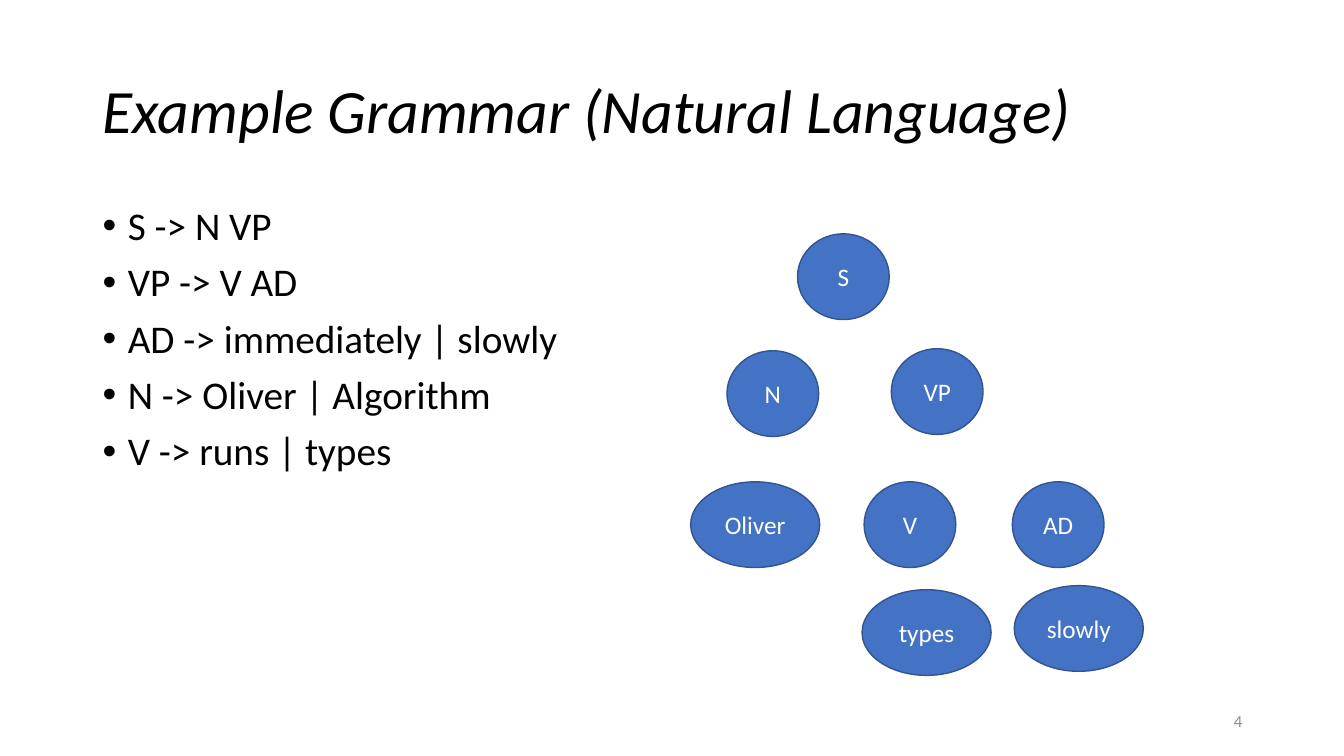
from lxml import etree
from pptx import Presentation
from pptx.dml.color import RGBColor
from pptx.enum import shapes, text
from pptx.oxml.ns import qn
from pptx.util import Inches, Pt

BLACK = RGBColor(0x00, 0x00, 0x00)
WHITE = RGBColor(0xFF, 0xFF, 0xFF)
GREY = RGBColor(0x8C, 0x8C, 0x8C)
BLUE = RGBColor(0x44, 0x72, 0xC4)
DARK_BLUE = RGBColor(0x32, 0x54, 0x91)

NODE_HEIGHT = 0.85
SYMBOL_WIDTH = 0.91
WORD_WIDTH = 1.28

RULES = [
    "S -> N VP",
    "VP -> V AD",
    "AD -> immediately | slowly",
    "N -> Oliver | Algorithm",
    "V -> runs | types",
]
NODES = [  # label, left, top, width
    ("S", 7.91, 2.32, SYMBOL_WIDTH),
    ("N", 7.21, 3.48, SYMBOL_WIDTH),
    ("VP", 8.84, 3.46, SYMBOL_WIDTH),
    ("Oliver", 6.85, 4.78, WORD_WIDTH),
    ("V", 8.57, 4.78, SYMBOL_WIDTH),
    ("AD", 10.04, 4.78, SYMBOL_WIDTH),
    ("types", 8.55, 5.85, WORD_WIDTH),
    ("slowly", 10.06, 5.81, WORD_WIDTH),
]


def write(sp, content, size, color, align, anchor=text.MSO_ANCHOR.MIDDLE):
    """Fill a shape with text, one paragraph a line, and return the paragraphs."""
    tf = sp.text_frame
    tf.word_wrap = True
    tf.vertical_anchor = anchor
    tf.text = content
    for p in tf.paragraphs:
        p.alignment = align
        font = p.runs[0].font
        font.name = "Calibri"
        font.size = Pt(size)
        font.color.rgb = color
    return tf.paragraphs


prs = Presentation()
prs.slide_width = Inches(13.33)
prs.slide_height = Inches(7.5)
s = prs.slides.add_slide(prs.slide_layouts[6])

# Title
title = s.shapes.add_textbox(Inches(0.92), Inches(0.4), Inches(11.5), Inches(1.45))
p = write(title, "Example Grammar (Natural Language)", 44, BLACK, text.PP_ALIGN.LEFT)[0]
p.line_spacing = 0.9
p.runs[0].font.italic = True

# Grammar rules
rules = s.shapes.add_textbox(Inches(0.92), Inches(2), Inches(11.5), Inches(4.76))
for p in write(rules, "\n".join(RULES), 28, BLACK, text.PP_ALIGN.LEFT, text.MSO_ANCHOR.TOP):
    p.line_spacing = 0.9
    p.space_before = Pt(10)
    pPr = p._p.get_or_add_pPr()
    pPr.set("marL", str(Inches(0.25)))
    pPr.set("indent", str(-Inches(0.25)))
    etree.SubElement(pPr, qn("a:buFont"), typeface="Arial")
    etree.SubElement(pPr, qn("a:buChar"), char="•")

# Slide number
number = s.shapes.add_textbox(Inches(9.42), Inches(6.95), Inches(3), Inches(0.4))
write(number, "4", 12, GREY, text.PP_ALIGN.RIGHT)

# Parse tree
for label, left, top, width in NODES:
    node = s.shapes.add_shape(shapes.MSO_SHAPE.OVAL, Inches(left), Inches(top),
                              Inches(width), Inches(NODE_HEIGHT))
    node.shadow.inherit = False
    node.fill.solid()
    node.fill.fore_color.rgb = BLUE
    node.line.color.rgb = DARK_BLUE
    node.line.width = Pt(1)
    write(node, label, 18, WHITE, text.PP_ALIGN.CENTER)

prs.save("out.pptx")
